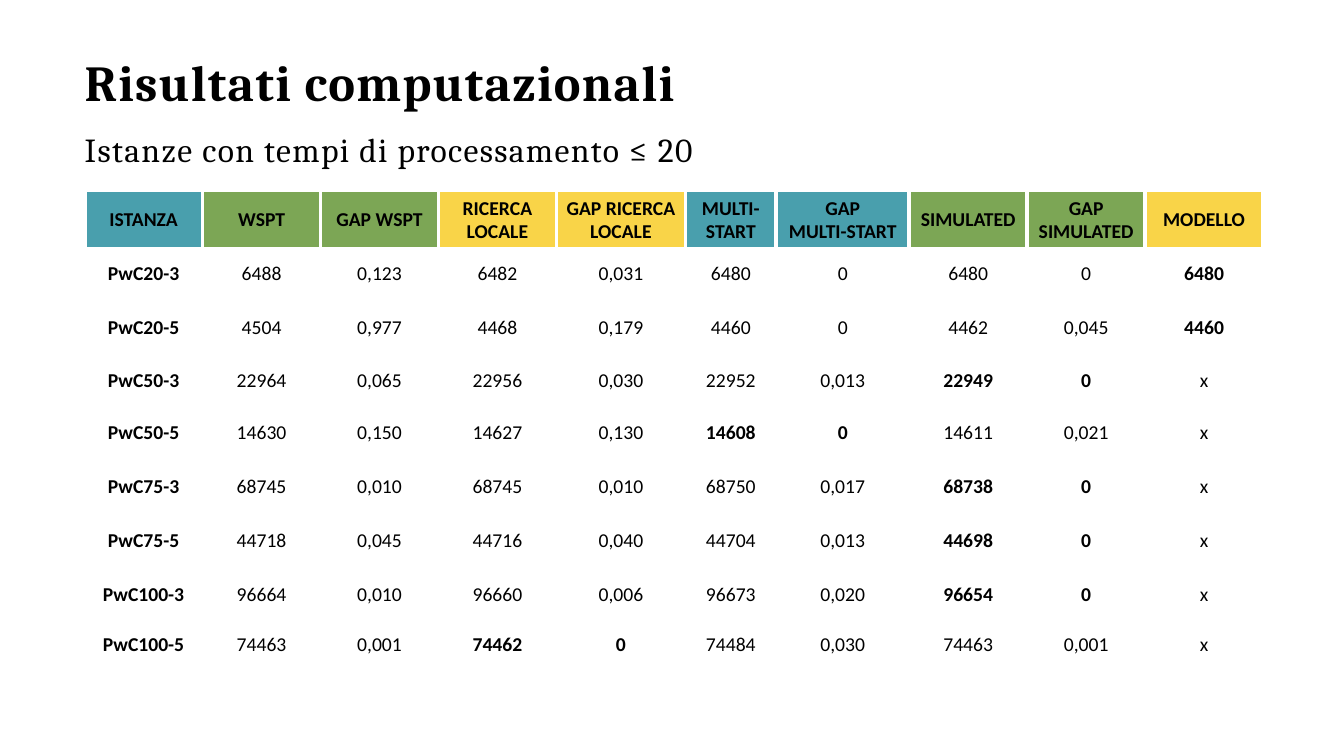
from dataclasses import dataclass

from lxml import etree
from pptx import Presentation, util as u
from pptx.dml.color import RGBColor
from pptx.enum import text
from pptx.oxml import ns


@dataclass(frozen=True)
class Theme:
    ink: str = "000000"
    border: str = "FFFFFF"
    teal: str = "499FAD"
    green: str = "7CA655"
    yellow: str = "F9D448"
    heading_font: str = "Cambria"
    table_font: str = "Calibri"
    title_size: int = 36
    subtitle_size: int = 24
    table_size: int = 14
    letter_spacing: int = 1


@dataclass(frozen=True)
class Heading:
    wording: str
    top: float
    width: float
    height: float
    size: int
    bold: bool


@dataclass(frozen=True)
class Column:
    label: str
    width: float
    fill: str


@dataclass(frozen=True)
class Result:
    """One instance; best holds the column numbers of its best solution."""
    values: str
    height: float
    best: tuple[int, ...] = ()


THEME = Theme()
LEFT = 0.84
TABLE_TOP = 1.89
HEADER_HEIGHT = 0.58
HEADER_BORDER = 3
BODY_BORDER = 1.5
# Horizontal rules from the top of the table to its bottom, in points
RULES = [3, 3, 1.5, 1.5, 0.5, 0.5, 0.5, 0.5, 0.5, 1.5]

HEADINGS = [
    Heading("Risultati computazionali", 0.45, 10.01, 0.67, THEME.title_size, True),
    Heading("Istanze con tempi di processamento ≤ 20", 1.21, 7.7, 0.47,
            THEME.subtitle_size, False),
]

COLUMNS = [
    Column("ISTANZA", 1.17, THEME.teal),
    Column("WSPT", 1.17, THEME.green),
    Column("GAP WSPT", 1.17, THEME.green),
    Column("RICERCA\nLOCALE", 1.17, THEME.yellow),
    Column("GAP RICERCA LOCALE", 1.28, THEME.yellow),
    Column("MULTI-START", 0.9, THEME.teal),
    Column("GAP\nMULTI-START", 1.32, THEME.teal),
    Column("SIMULATED", 1.17, THEME.green),
    Column("GAP\nSIMULATED", 1.17, THEME.green),
    Column("MODELLO", 1.17, THEME.yellow),
]

RESULTS = [
    Result("PwC20-3 6488 0,123 6482 0,031 6480 0 6480 0 6480", 0.49, (9,)),
    Result("PwC20-5 4504 0,977 4468 0,179 4460 0 4462 0,045 4460", 0.57, (9,)),
    Result("PwC50-3 22964 0,065 22956 0,030 22952 0,013 22949 0 x", 0.48, (7, 8)),
    Result("PwC50-5 14630 0,150 14627 0,130 14608 0 14611 0,021 x", 0.55, (5, 6)),
    Result("PwC75-3 68745 0,010 68745 0,010 68750 0,017 68738 0 x", 0.53, (7, 8)),
    Result("PwC75-5 44718 0,045 44716 0,040 44704 0,013 44698 0 x", 0.55, (7, 8)),
    Result("PwC100-3 96664 0,010 96660 0,006 96673 0,020 96654 0 x", 0.52, (7, 8)),
    Result("PwC100-5 74463 0,001 74462 0 74484 0,030 74463 0,001 x", 0.47, (3, 4)),
]


def style_font(font, family: str, size: int, bold: bool) -> None:
    font.name = family
    font.size = u.Pt(size)
    font.bold = bold
    font.color.rgb = RGBColor.from_string(THEME.ink)


def add_heading(page, heading: Heading) -> None:
    box = page.shapes.add_textbox(u.Inches(LEFT), u.Inches(heading.top),
                                  u.Inches(heading.width), u.Inches(heading.height))
    frame = box.text_frame
    frame.word_wrap = True
    frame.vertical_anchor = text.MSO_ANCHOR.BOTTOM
    frame.margin_left = frame.margin_right = frame.margin_top = frame.margin_bottom = 0
    para = frame.paragraphs[0]
    para.line_spacing = 0.9
    style_font(para.font, THEME.heading_font, heading.size, heading.bold)
    span = para.add_run()
    span.text = heading.wording
    span._r.get_or_add_rPr().set("spc", str(THEME.letter_spacing * 100))


def set_borders(cell, side: float, top: float, bottom: float) -> None:
    """Draw the cell borders, widths in points; call before setting the fill."""
    properties = cell._tc.get_or_add_tcPr()
    for edge, width in (("L", side), ("R", side), ("T", top), ("B", bottom)):
        line = etree.SubElement(properties, ns.qn(f"a:ln{edge}"), w=str(u.Pt(width)))
        fill = etree.SubElement(line, ns.qn("a:solidFill"))
        etree.SubElement(fill, ns.qn("a:srgbClr"), val=THEME.border)


def write_cell(cell, wording: str, bold: bool) -> None:
    cell.margin_left = cell.margin_right = cell.margin_top = u.Inches(0.01)
    cell.margin_bottom = 0
    cell.vertical_anchor = text.MSO_ANCHOR.MIDDLE
    cell.text_frame.text = wording
    for para in cell.text_frame.paragraphs:
        para.alignment = text.PP_ALIGN.CENTER
        style_font(para.font, THEME.table_font, THEME.table_size, bold)


def add_results_table(page) -> None:
    heights = [HEADER_HEIGHT] + [result.height for result in RESULTS]
    frame = page.shapes.add_table(
        len(heights), len(COLUMNS), u.Inches(LEFT), u.Inches(TABLE_TOP),
        u.Inches(sum(column.width for column in COLUMNS)), u.Inches(sum(heights)))
    table = frame.table
    table.first_row = table.horz_banding = False
    for row, height in zip(table.rows, heights):
        row.height = u.Inches(height)

    for number, column in enumerate(COLUMNS):
        table.columns[number].width = u.Inches(column.width)
        header = table.cell(0, number)
        write_cell(header, column.label, True)
        set_borders(header, HEADER_BORDER, RULES[0], RULES[1])
        header.fill.solid()
        header.fill.fore_color.rgb = RGBColor.from_string(column.fill)

    for line, result in enumerate(RESULTS, start=1):
        for number, value in enumerate(result.values.split()):
            cell = table.cell(line, number)
            write_cell(cell, value, number == 0 or number in result.best)
            set_borders(cell, BODY_BORDER, RULES[line], RULES[line + 1])
            cell.fill.background()


def main() -> None:
    deck = Presentation()
    deck.slide_width, deck.slide_height = u.Inches(13.33), u.Inches(7.5)
    page = deck.slides.add_slide(deck.slide_layouts[6])
    for heading in HEADINGS:
        add_heading(page, heading)
    add_results_table(page)
    deck.save("out.pptx")


if __name__ == "__main__":
    main()
